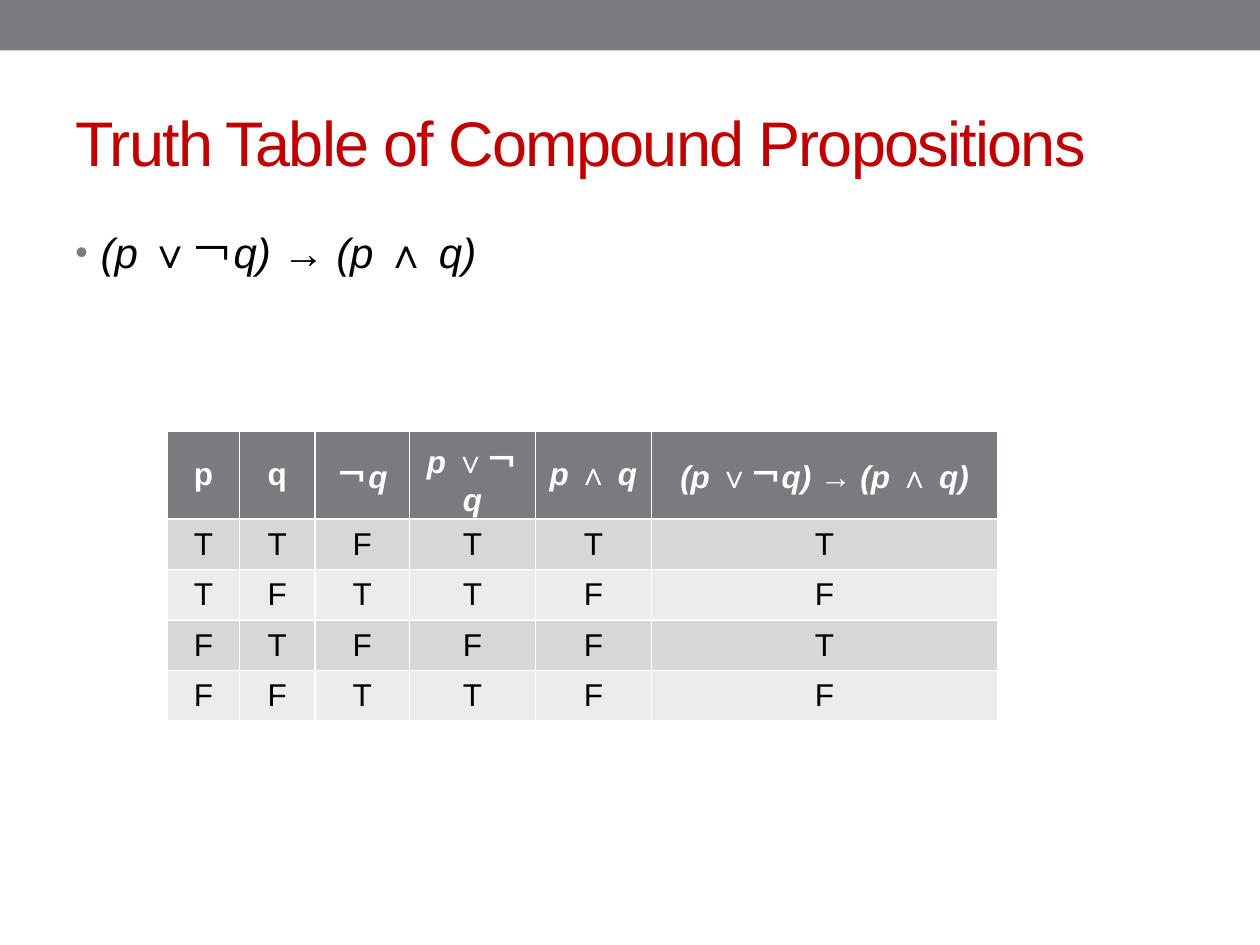
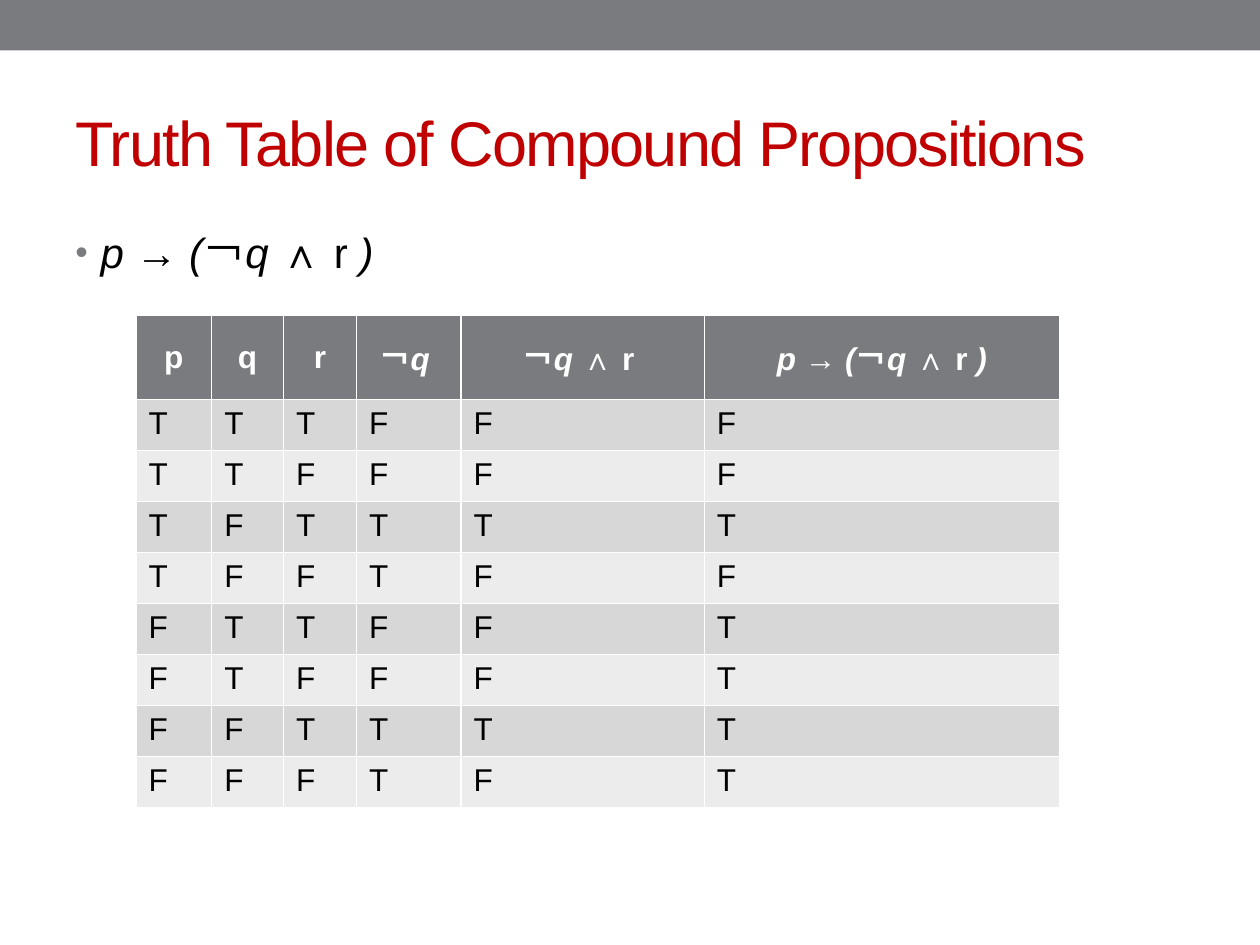
import dataclasses

import pptx
import pptx.dml.color
import pptx.enum.shapes
import pptx.enum.text
import pptx.oxml
import pptx.oxml.ns
import pptx.slide
import pptx.table
import pptx.text.text
import pptx.util

Inches = pptx.util.Inches
Pt = pptx.util.Pt

COLORS = {
    "band": "797B7E",
    "title": "C00000",
    "text": "000000",
    "header_text": "FFFFFF",
    "odd_row": "D7D7D8",
    "even_row": "ECECEC",
}
FONT = "Arial"
TITLE = "Truth Table of Compound Propositions"
LEFT = pptx.enum.text.PP_ALIGN.LEFT
CENTER = pptx.enum.text.PP_ALIGN.CENTER
TOP = pptx.enum.text.MSO_ANCHOR.TOP
MIDDLE = pptx.enum.text.MSO_ANCHOR.MIDDLE


@dataclasses.dataclass(frozen=True)
class TruthTable:
    proposition: str
    left: float
    top: float
    column_widths: tuple[float, ...]
    row_height: float
    headers: tuple[str, ...]
    values: tuple[str, ...]
    value_align: pptx.enum.text.PP_ALIGN
    value_anchor: pptx.enum.text.MSO_ANCHOR


HEADER_HEIGHT = 0.67
DISJUNCTION = "*(p *∨￢*q) *→ *(p *∧ *q)*"
CONJUNCTION = "*p *→ *(*￢*q *∧ r *)*"

TRUTH_TABLES = (
    TruthTable(
        proposition=DISJUNCTION,
        left=1.33,
        top=3.42,
        column_widths=(0.57, 0.6, 0.75, 1, 0.92, 2.75),
        row_height=0.38,
        headers=("p", "q", "￢*q*", "*p *∨￢*q*", "*p *∧ *q*", DISJUNCTION),
        values=("TTFTTT", "TFTTFF", "FTFFFT", "FFTTFF"),
        value_align=CENTER,
        value_anchor=MIDDLE,
    ),
    TruthTable(
        proposition=CONJUNCTION,
        left=1.08,
        top=2.5,
        column_widths=(0.6, 0.57, 0.58, 0.83, 1.93, 2.82),
        row_height=0.405,
        headers=("p", "q", "r", "￢*q *", "￢*q *∧ r ", CONJUNCTION),
        values=(
            "TTTFFF", "TTFFFF", "TFTTTT", "TFFTFF",
            "FTTFFT", "FTFFFT", "FFTTTT", "FFFTFT",
        ),
        value_align=LEFT,
        value_anchor=TOP,
    ),
)


def rgb(name: str) -> pptx.dml.color.RGBColor:
    return pptx.dml.color.RGBColor.from_string(COLORS[name])


def add_runs(paragraph: pptx.text.text._Paragraph, marked: str, size: int,
             color: str, bold: bool = False) -> None:
    """Write marked text; parts between asterisks are italic."""
    for position, part in enumerate(marked.split("*")):
        if part:
            run = paragraph.add_run()
            run.text = part
            run.font.name = FONT
            run.font.size = Pt(size)
            run.font.bold = bold
            run.font.italic = position % 2 == 1
            run.font.color.rgb = rgb(color)


def add_text_frame(slide: pptx.slide.Slide, top: float,
                   height: float) -> pptx.text.text.TextFrame:
    frame = slide.shapes.add_textbox(
        Inches(0.5), Inches(top), Inches(9), Inches(height)).text_frame
    frame.word_wrap = True
    return frame


def add_band(slide: pptx.slide.Slide) -> None:
    band = slide.shapes.add_shape(
        pptx.enum.shapes.MSO_SHAPE.RECTANGLE, 0, 0, Inches(10), Inches(0.4))
    band.shadow.inherit = False
    band.fill.solid()
    band.fill.fore_color.rgb = rgb("band")
    band.line.fill.background()


def add_title(slide: pptx.slide.Slide) -> None:
    frame = add_text_frame(slide, 0.58, 1.08)
    frame.vertical_anchor = MIDDLE
    add_runs(frame.paragraphs[0], TITLE, 36, "title")
    for run in frame.paragraphs[0].runs:
        run.font._element.set("spc", "-100")


def add_proposition(slide: pptx.slide.Slide, proposition: str) -> None:
    paragraph = add_text_frame(slide, 1.75, 0.7).paragraphs[0]
    paragraph.space_before = Pt(4.8)
    add_runs(paragraph, proposition, 24, "text")
    properties = paragraph._p.get_or_add_pPr()
    properties.set("marL", str(Inches(0.2)))
    properties.set("indent", str(Inches(-0.2)))
    namespace = pptx.oxml.ns.nsdecls("a")
    for bullet in (
        f'<a:buClr {namespace}><a:srgbClr val="{COLORS["band"]}"/></a:buClr>',
        f'<a:buSzPct {namespace} val="85000"/>',
        f'<a:buFont {namespace} typeface="{FONT}"/>',
        f'<a:buChar {namespace} char="•"/>',
    ):
        properties.append(pptx.oxml.parse_xml(bullet))


def fill_cell(cell: pptx.table._Cell, marked: str, fill: str, color: str,
              align: pptx.enum.text.PP_ALIGN,
              anchor: pptx.enum.text.MSO_ANCHOR, bold: bool = False) -> None:
    cell.fill.solid()
    cell.fill.fore_color.rgb = rgb(fill)
    cell.vertical_anchor = anchor
    paragraph = cell.text_frame.paragraphs[0]
    paragraph.alignment = align
    add_runs(paragraph, marked, 18, color, bold)


def add_truth_table(slide: pptx.slide.Slide, truth: TruthTable) -> None:
    heights = [HEADER_HEIGHT] + [truth.row_height] * len(truth.values)
    table = slide.shapes.add_table(
        len(heights), len(truth.headers), Inches(truth.left), Inches(truth.top),
        Inches(sum(truth.column_widths)), Inches(sum(heights))).table
    for column, width in zip(table.columns, truth.column_widths):
        column.width = Inches(width)
    for row, height in zip(table.rows, heights):
        row.height = Inches(height)
    for column, header in enumerate(truth.headers):
        fill_cell(table.cell(0, column), header, "band", "header_text",
                  CENTER, MIDDLE, bold=True)
    for row, values in enumerate(truth.values, start=1):
        fill = "odd_row" if row % 2 else "even_row"
        for column, value in enumerate(values):
            fill_cell(table.cell(row, column), value, fill, "text",
                      truth.value_align, truth.value_anchor)


def main() -> None:
    presentation = pptx.Presentation()
    presentation.slide_width = Inches(10)
    presentation.slide_height = Inches(7.5)
    for truth in TRUTH_TABLES:
        slide = presentation.slides.add_slide(presentation.slide_layouts[6])
        add_band(slide)
        add_title(slide)
        add_proposition(slide, truth.proposition)
        add_truth_table(slide, truth)
    presentation.save("out.pptx")


if __name__ == "__main__":
    main()
